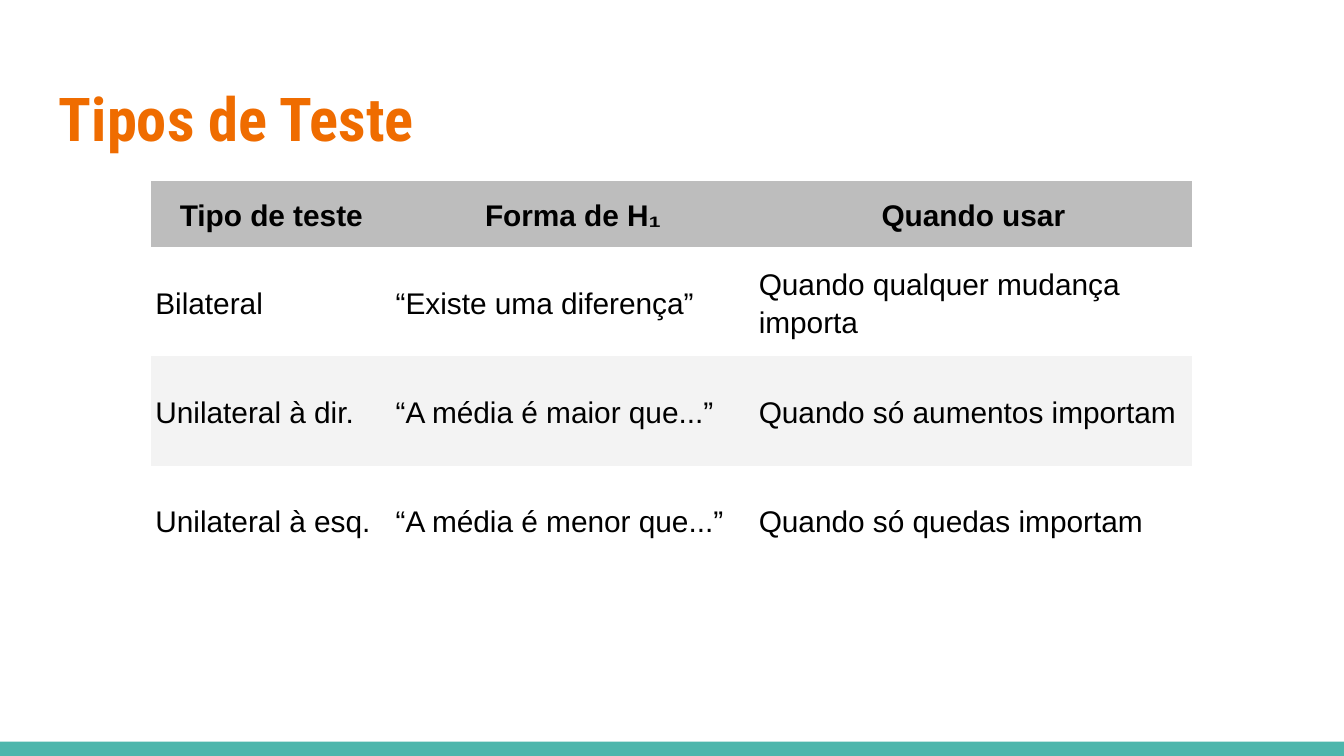
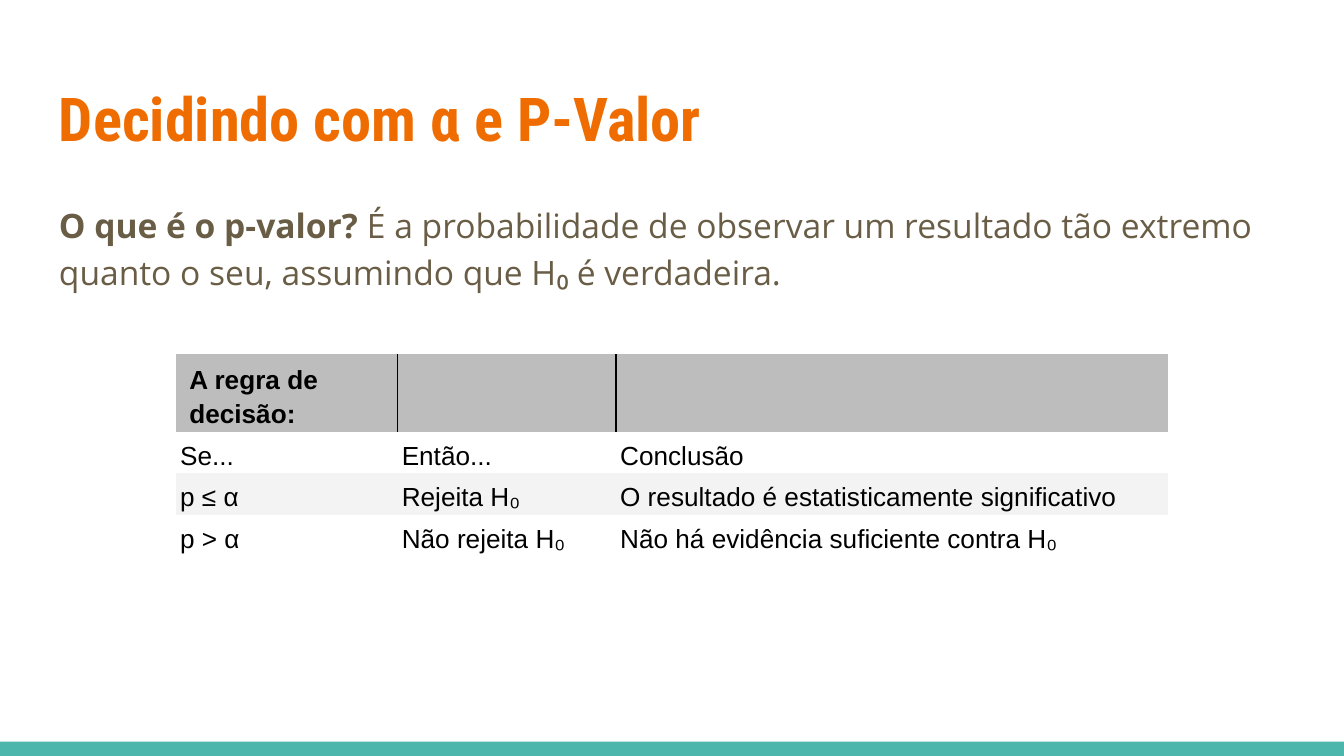
from lxml.etree import SubElement, Element
from pptx import Presentation
from pptx.dml.color import RGBColor
from pptx.enum.shapes import MSO_SHAPE as Preset
from pptx.enum.text import MSO_ANCHOR as Anchor, PP_ALIGN as Align
from pptx.oxml.ns import qn
from pptx.util import Pt

WIDTH, HEIGHT = 720, 405
ORANGE, TEAL, BROWN, BLACK = "EF6C00", "4DB6AC", "695D46", "000000"
HEADER_FILL, ROW_FILLS = "BDBDBD", ("FFFFFF", "F3F3F3")
PLAIN_TABLE_STYLE = "{2D5ABB26-0587-4C30-8999-92F81FD0307C}"
TITLE_BOX = (24.5, 35.5, 671, 55)
BODY_BOX = (24.5, 99.5, 671, 260)
FOOTER_BOX = (0, 397.4, WIDTH, 7.6)


def color(value):
    """Turn a hex string into a colour."""
    return RGBColor.from_string(value)


def points(values):
    """Turn numbers into lengths in points."""
    return [Pt(value) for value in values]


def style_font(font, name, size, fill, bold=None):
    """Set the typeface, size, colour and weight of a font."""
    font.name, font.size, font.bold = name, Pt(size), bold
    font.color.rgb = color(fill)


def set_insets(target, horizontal, vertical):
    """Set equal side insets and equal top and bottom insets."""
    target.margin_left = target.margin_right = Pt(horizontal)
    target.margin_top = target.margin_bottom = Pt(vertical)


def add_text_frame(slide, box, anchor):
    """Add a wrapping text box and return its frame."""
    frame = slide.shapes.add_textbox(*points(box)).text_frame
    frame.word_wrap = True
    frame.vertical_anchor = anchor
    set_insets(frame, 7.2, 7.2)
    return frame


def add_titled_slide(presentation, title):
    """Add a slide with the shared footer band and title."""
    slide = presentation.slides.add_slide(presentation.slide_layouts[6])
    band = slide.shapes.add_shape(Preset.RECTANGLE, *points(FOOTER_BOX))
    band.shadow.inherit = False
    band.fill.solid()
    band.fill.fore_color.rgb = color(TEAL)
    band.line.fill.background()
    paragraph = add_text_frame(slide, TITLE_BOX, Anchor.MIDDLE).paragraphs[0]
    paragraph.text = title
    style_font(paragraph.font, "Roboto Condensed", 32.4, ORANGE, True)
    return slide


def add_body(slide, box, lead, rest):
    """Add a paragraph that opens with a bold lead."""
    paragraph = add_text_frame(slide, box, Anchor.TOP).paragraphs[0]
    paragraph.line_spacing = 1.15
    style_font(paragraph.font, "Open Sans", 18, BROWN)
    for text, bold in ((lead, True), (rest, False)):
        run = paragraph.add_run()
        run.text = text
        run.font.bold = bold


def add_border(cell, side):
    """Draw a thin black line on one side of a cell."""
    line = Element(qn(f"a:{side}"), w=str(Pt(0.75)))
    fill = SubElement(line, qn("a:solidFill"))
    SubElement(fill, qn("a:srgbClr"), val=BLACK)
    cell._tc.get_or_add_tcPr().insert(0, line)


def add_table(slide, left, top, widths, heights, rows, size, anchor):
    """Add a table with a grey header and striped rows."""
    box = points((left, top, sum(widths), sum(heights)))
    table = slide.shapes.add_table(len(rows), len(widths), *box).table
    table._tbl.tblPr.find(qn("a:tableStyleId")).text = PLAIN_TABLE_STYLE
    for column, width in zip(table.columns, widths):
        column.width = Pt(width)
    for index, (row, height, texts) in enumerate(zip(table.rows, heights, rows)):
        row.height = Pt(height)
        header = index == 0
        for cell, text in zip(row.cells, texts):
            cell.text = text
            cell.vertical_anchor = anchor
            set_insets(cell, 2.25, 1.5)
            cell.fill.solid()
            cell.fill.fore_color.rgb = color(HEADER_FILL if header else ROW_FILLS[(index + 1) % 2])
            paragraph = cell.text_frame.paragraphs[0]
            paragraph.line_spacing = 1.15
            style_font(paragraph.font, "Arial", size, BLACK, header)
    return table


def add_test_types(presentation):
    """Build the slide that compares the types of test."""
    slide = add_titled_slide(presentation, "Tipos de Teste")
    rows = (
        ("Tipo de teste", "Forma de H₁", "Quando usar"),
        ("Bilateral", "“Existe uma diferença”", "Quando qualquer mudança importa"),
        ("Unilateral à dir.", "“A média é maior que...”", "Quando só aumentos importam"),
        ("Unilateral à esq.", "“A média é menor que...”", "Quando só quedas importam"),
    )
    table = add_table(slide, 81, 96.75, (128.75, 194.5, 234.5),
                      (35.75, 58.5, 58.5, 58.5), rows, 16, Anchor.MIDDLE)
    for cell in table.rows[0].cells:
        cell.text_frame.paragraphs[0].alignment = Align.CENTER


def add_decision_rule(presentation):
    """Build the slide that explains the p-value and its rule."""
    slide = add_titled_slide(presentation, "Decidindo com α e P-Valor")
    add_body(slide, BODY_BOX, "O que é o p-valor?",
             " É a probabilidade de observar um resultado tão extremo"
             " quanto o seu, assumindo que H₀ é verdadeira.")
    rows = (
        ("A regra de decisão:", "", ""),
        ("Se...", "Então...", "Conclusão"),
        ("p ≤ α", "Rejeita H₀", "O resultado é estatisticamente significativo"),
        ("p > α", "Não rejeita H₀", "Não há evidência suficiente contra H₀"),
    )
    table = add_table(slide, 94.25, 189.75, (118.75, 117, 295.5),
                      (19.5,) * 4, rows, 14, Anchor.BOTTOM)
    first, second, third = table.rows[0].cells
    for cell in (first, second, third):
        set_insets(cell, 7.2, 1.5)
    for before, after in ((first, second), (second, third)):
        add_border(before, "lnR")
        add_border(after, "lnL")


def main():
    """Build and save the presentation."""
    presentation = Presentation()
    presentation.slide_width, presentation.slide_height = points((WIDTH, HEIGHT))
    add_test_types(presentation)
    add_decision_rule(presentation)
    presentation.save("out.pptx")


if __name__ == "__main__":
    main()
